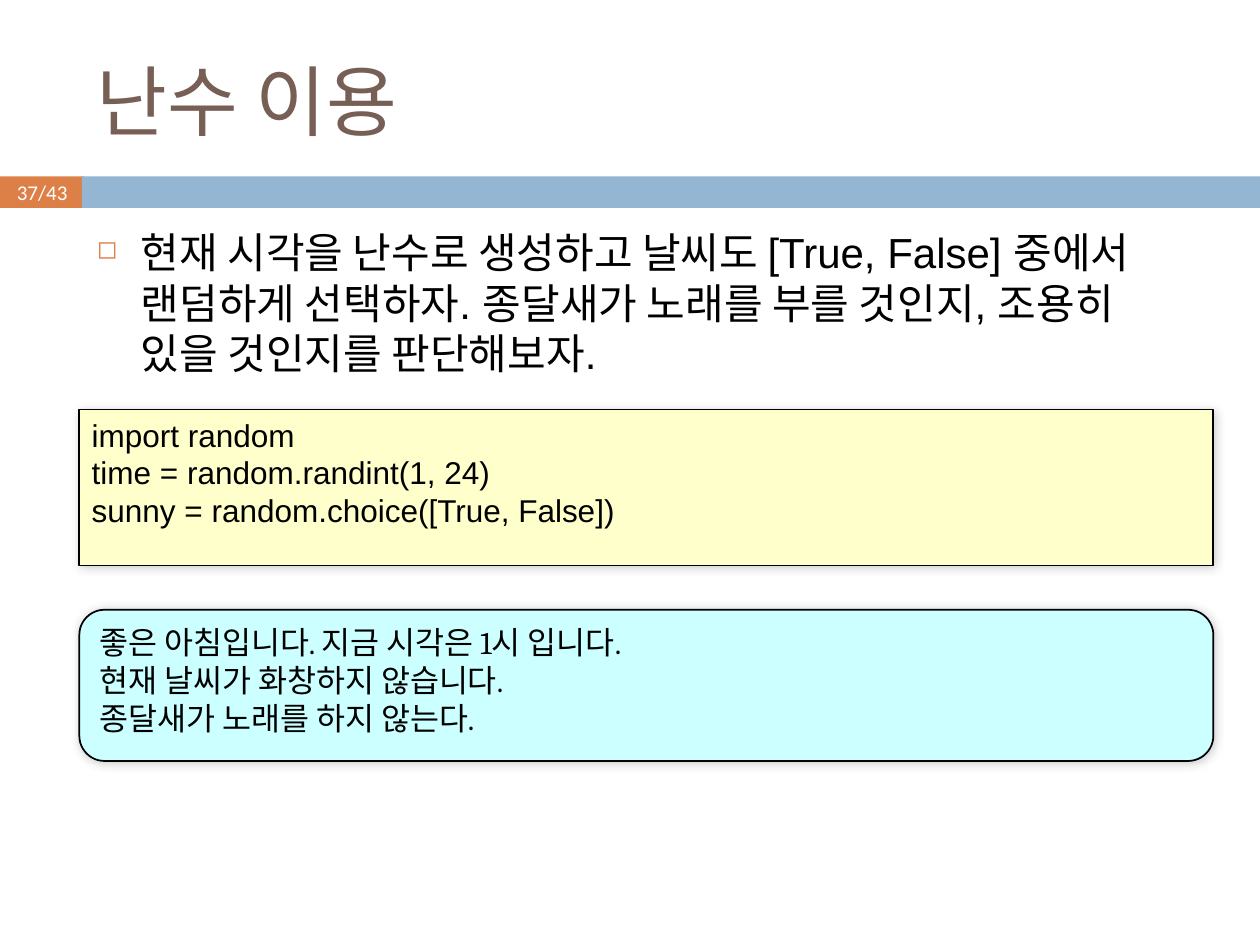
import dataclasses
import typing

import lxml.etree
import pptx
import pptx.dml.color
import pptx.enum.shapes
import pptx.enum.text
import pptx.oxml.ns
import pptx.util

KIND = pptx.enum.shapes.MSO_SHAPE
ALIGN = pptx.enum.text.PP_ALIGN
ANCHOR = pptx.enum.text.MSO_ANCHOR
WIDE = pptx.util.Inches(10)
HIGH = pptx.util.Inches(7.5)
INDENT = pptx.util.Inches(0.35)
ACCENT = "DD8047"
BLACK = "000000"


@dataclasses.dataclass
class Box:
    left: float
    top: float
    width: float
    height: float
    lines: tuple[str, ...] = ()
    face: str = "Arial"
    size: float = 18
    ink: str = BLACK
    fill: str = ""
    kind: typing.Optional[KIND] = None
    framed: bool = False
    bullet: bool = False
    align: ALIGN = ALIGN.LEFT
    anchor: ANCHOR = ANCHOR.TOP


BOXES = [
    Box(0, 18.67, 6.7, 3.33, ("37/43",), "Calibri", 12, "FFFFFF", ACCENT,
        KIND.RECTANGLE, align=ALIGN.CENTER, anchor=ANCHOR.MIDDLE),
    Box(6.5, 18.67, 93.5, 3.33, fill="94B6D2", kind=KIND.RECTANGLE),
    Box(6.7, 3.33, 89.2, 14.4, ("난수 이용",), "Calibri", 44, "775F55",
        anchor=ANCHOR.MIDDLE),
    Box(6.7, 23.33, 89.2, 65.6,
        ("현재 시각을 난수로 생성하고 날씨도 [True, False] 중에서 "
         "랜덤하게 선택하자. 종달새가 노래를 부를 것인지, 조용히 "
         "있을 것인지를 판단해보자.",), size=24, bullet=True),
    Box(6.3, 43.33, 90, 16.53,
        ("import random",
         "time = random.randint(1, 24)",
         "sunny = random.choice([True, False])"),
        fill="FFFFCC", kind=KIND.RECTANGLE, framed=True),
    Box(6.3, 64.53, 90, 16,
        ("좋은 아침입니다. 지금 시각은 1시 입니다.",
         "현재 날씨가 화창하지 않습니다.",
         "종달새가 노래를 하지 않는다."),
        "Cambria", fill="CCFFFF", kind=KIND.FLOWCHART_ALTERNATE_PROCESS,
        framed=True),
]


def color(code: str) -> pptx.dml.color.RGBColor:
    return pptx.dml.color.RGBColor.from_string(code)


def assign(thing: typing.Any, values: dict[str, typing.Any]) -> None:
    for name, value in values.items():
        setattr(thing, name, value)


def node(root: typing.Any, tag: str, **values: typing.Any) -> typing.Any:
    texts = {name: str(value) for name, value in values.items()}
    return lxml.etree.SubElement(root, pptx.oxml.ns.qn(tag), texts)


def shade(shape: typing.Any) -> None:
    group = shape.element.spPr.find(pptx.oxml.ns.qn("a:effectLst"))
    cast = node(group, "a:outerShdw", blurRad=pptx.util.Pt(6), dist=0,
                dir=315 * 60000, algn="tl", rotWithShape=0)
    tint = node(cast, "a:srgbClr", val=BLACK)
    node(tint, "a:alpha", val=20000)


def mark(para: typing.Any) -> None:
    para.space_before = pptx.util.Pt(7)
    props = para._p.get_or_add_pPr()
    props.set("marL", str(INDENT))
    props.set("indent", str(-INDENT))
    node(node(props, "a:buClr"), "a:srgbClr", val=ACCENT)
    node(props, "a:buSzPct", val=60000)
    node(props, "a:buChar", char="◻")


def write(frame: typing.Any, box: Box) -> None:
    assign(frame, {"word_wrap": True, "vertical_anchor": box.anchor})
    for index, line in enumerate(box.lines):
        para = frame.add_paragraph() if index else frame.paragraphs[0]
        para.alignment = box.align
        run = para.add_run()
        run.text = line
        assign(run.font, {"name": box.face, "size": pptx.util.Pt(box.size)})
        run.font.color.rgb = color(box.ink)
        if box.bullet:
            mark(para)


def draw(slide: typing.Any, box: Box) -> None:
    area = [int(share * side / 100) for share, side in zip(
        (box.left, box.top, box.width, box.height), (WIDE, HIGH) * 2)]
    if box.kind is None:
        shape = slide.shapes.add_textbox(*area)
    else:
        shape = slide.shapes.add_shape(box.kind, *area)
        shape.shadow.inherit = False
        shape.fill.solid()
        shape.fill.fore_color.rgb = color(box.fill)
        if box.framed:
            shape.line.color.rgb = color(BLACK)
            shape.line.width = pptx.util.Pt(1)
            shade(shape)
        else:
            shape.line.fill.background()
    write(shape.text_frame, box)


def main() -> None:
    deck = pptx.Presentation()
    assign(deck, {"slide_width": WIDE, "slide_height": HIGH})
    slide = deck.slides.add_slide(deck.slide_layouts[6])
    for box in BOXES:
        draw(slide, box)
    deck.save("out.pptx")


if __name__ == "__main__":
    main()
